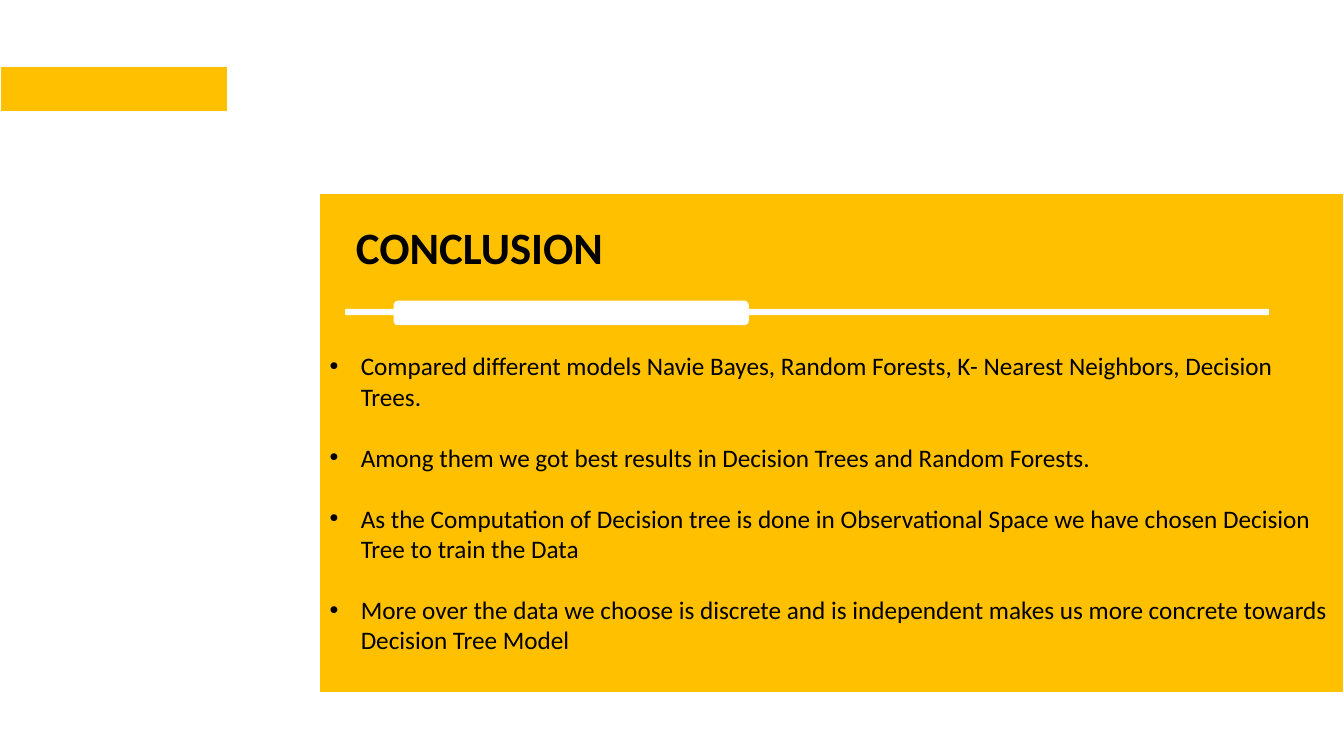
from pptx import Presentation
from pptx.dml.color import RGBColor
from pptx.enum import shapes, text
from pptx.oxml import parse_xml
from pptx.oxml.ns import nsdecls
from pptx.util import Inches, Pt

TITLE = "CONCLUSION"
POINTS = [
    "Compared different models Navie Bayes, Random Forests, K- Nearest Neighbors, Decision Trees.",
    "Among them we got best results in Decision Trees and Random Forests.",
    "As the Computation of Decision tree is done in Observational Space we have chosen Decision Tree to train the Data",
    "More over the data we choose is discrete and is independent makes us more concrete towards Decision Tree Model",
]
COLOURS = {"gold": "FFC000", "white": "FFFFFF", "black": "000000"}
FONT = "Calibri"
RECT = shapes.MSO_SHAPE.RECTANGLE
ROUNDED = shapes.MSO_SHAPE.ROUNDED_RECTANGLE

# kind, (left, top, width, height), fill, line width
PANEL = (RECT, (3.17, 1.92, 10.16, 4.95), "gold", 0.75)
DECORATIONS = [
    (ROUNDED, (3.43, 3.07, 9.15, 0.05), "white", 1),
    (ROUNDED, (3.91, 2.99, 3.51, 0.23), "white", 1),
    (RECT, (0, 0.66, 2.26, 0.45), "gold", 1),
]
TITLE_AREA = (3.43, 2.13, 6.33, 0.64)
POINTS_TOP = 3.48
INDENT = Inches(0.31)


def colour(name):
    return RGBColor.from_string(COLOURS[name])


def add_block(page, kind, area, fill, line_width):
    block = page.shapes.add_shape(kind, *map(Inches, area))
    block.shadow.inherit = False
    block.fill.solid()
    block.fill.fore_color.rgb = colour(fill)
    block.line.color.rgb = colour("white")
    block.line.width = Pt(line_width)
    return block


def style_text(para, size, bold=False):
    para.alignment = text.PP_ALIGN.LEFT
    for span in para.runs:
        span.font.name = FONT
        span.font.size = Pt(size)
        span.font.bold = bold
        span.font.color.rgb = colour("black")


def add_bullet(para):
    properties = para._p.get_or_add_pPr()
    properties.set("marL", str(INDENT))
    properties.set("indent", str(-INDENT))
    properties.append(parse_xml(f'<a:buFont {nsdecls("a")} typeface="Arial"/>'))
    properties.append(parse_xml(f'<a:buChar {nsdecls("a")} char="•"/>'))


def fill_panel(panel):
    frame = panel.text_frame
    frame.word_wrap = True
    frame.vertical_anchor = text.MSO_ANCHOR.TOP
    frame.margin_top = Inches(POINTS_TOP) - panel.top
    frame.text = "\n".join(POINTS)
    for para in frame.paragraphs:
        style_text(para, 18)
        para.space_after = Pt(22)
        add_bullet(para)


def place_title(title):
    title.left, title.top, title.width, title.height = map(Inches, TITLE_AREA)
    frame = title.text_frame
    frame.text = TITLE
    frame.word_wrap = True
    frame.auto_size = text.MSO_AUTO_SIZE.NONE
    frame.vertical_anchor = text.MSO_ANCHOR.MIDDLE
    style_text(frame.paragraphs[0], 32, bold=True)


def main():
    deck = Presentation()
    deck.slide_width, deck.slide_height = Inches(13.33), Inches(7.5)
    page = deck.slides.add_slide(deck.slide_layouts[5])
    panel = add_block(page, *PANEL)
    fill_panel(panel)
    title = page.shapes.title
    place_title(title)
    panel._element.addnext(title._element)  # the title lies on the panel
    for decoration in DECORATIONS:
        add_block(page, *decoration)
    deck.save("out.pptx")


if __name__ == "__main__":
    main()
